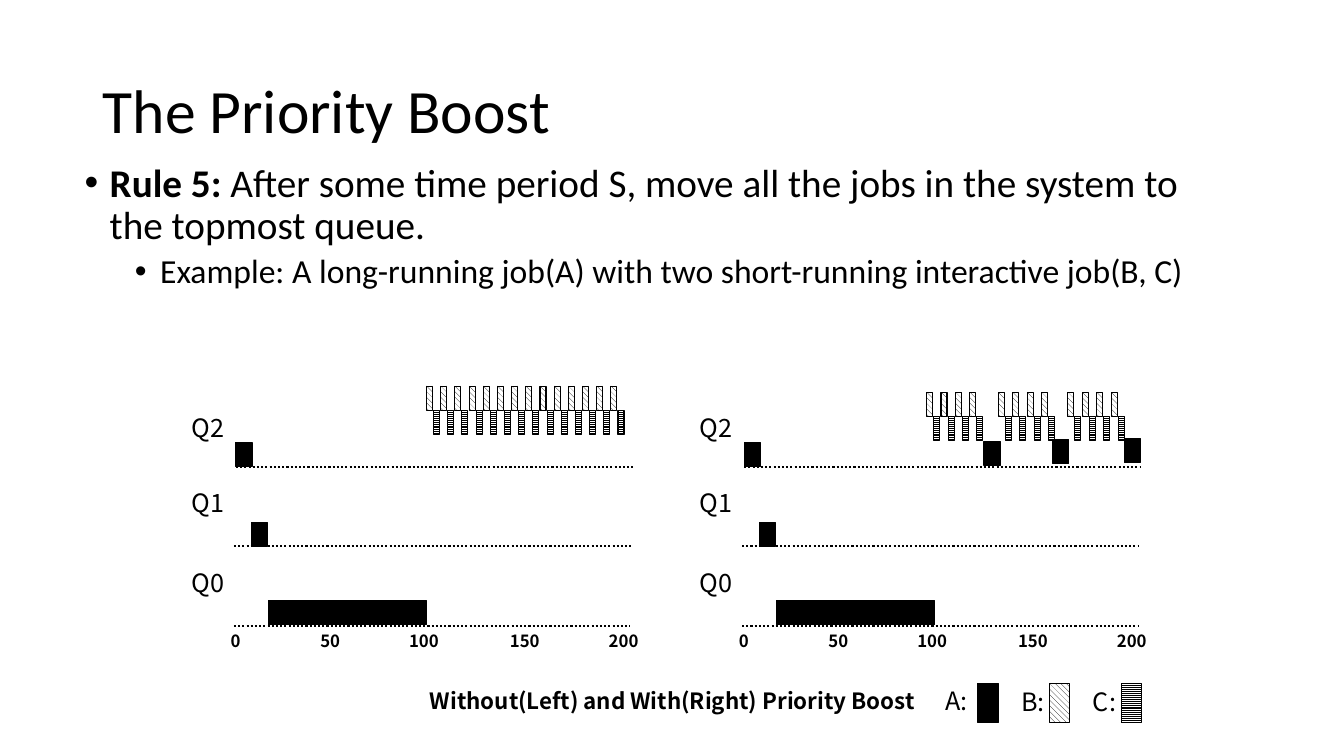
from lxml.etree import SubElement
from pptx import Presentation
from pptx.dml.color import RGBColor
from pptx.enum.dml import MSO_LINE, MSO_PATTERN as Pat
from pptx.enum.shapes import MSO_CONNECTOR as Con, MSO_SHAPE as Geo
from pptx.enum.text import MSO_ANCHOR as Anc, MSO_AUTO_SIZE as Auto, PP_ALIGN as Al
from pptx.oxml.ns import qn
from pptx.util import Inches, Pt

HEX = {"ink": "000000", "paper": "FFFFFF"}
SANS, NOTO = "Calibri", "Noto Sans CJK KR"
TITLE = "The Priority Boost"
BODY = [
    (0.25, 10, 28, [("Rule 5:", True),
                    (" After some time period S, move all the jobs in the system to the topmost queue.", False)]),
    (0.75, 5, 24, [("Example: A long-running job(A) with two short-running interactive job(B, C)", False)]),
]
NOTE = "Without(Left) and With(Right) Priority Boost"
FILLS = {"A": None, "B": Pat.WIDE_DOWNWARD_DIAGONAL, "C": Pat.LIGHT_HORIZONTAL}
QUEUES = [("Q2", 4.04, 0.02, 4.63, 3.94), ("Q1", 4.79, 0, 5.42, 3.94), ("Q0", 5.58, 0, 6.21, 3.93)]
TICKS = [("0", -0.13, 0.24), ("50", 0.72, 0.47), ("100", 1.58, 0.61),
         ("150", 2.58, 0.61), ("200", 3.56, 0.61)]
LONG = [(0.02, 4.39, 0.16), (0.17, 5.18, 0.16), (0.34, 5.96, 1.57)]
CHARTS = [
    {"left": 2.32, "top": 3.83, "bursts": [(1.91, 1.83, 14)], "boosts": []},
    {"left": 7.36, "top": 3.89, "bursts": [(1.83, 0.43, 4), (2.54, 0.43, 4), (3.23, 0.43, 4)],
     "boosts": [(2.4, 4.38, 0.16), (3.08, 4.36, 0.16), (3.79, 4.35, 0.16)]},
]
KEY = [("A: ", 9.23, 6.75, 0.57, 9.7), ("B:", 10.01, 6.76, 0.47, 10.41), ("C:", 10.72, 6.76, 0.47, 11.12)]
TALL = 0.24


def tint(name):
    return RGBColor.from_string(HEX[name])


def style(item, vals):
    for name, val in vals.items():
        setattr(item, name, val)


def write(para, text, size, face, bold=False):
    run = para.add_run()
    run.text = text
    style(run.font, {"size": Pt(size), "name": face, "bold": bold})
    run.font.color.rgb = tint("ink")


def label(host, text, at, size, align=Al.CENTER, bold=False):
    box = host.add_textbox(*map(Inches, at))
    style(box.text_frame, {"word_wrap": True, "auto_size": Auto.SHAPE_TO_FIT_TEXT})
    para = box.text_frame.paragraphs[0]
    para.alignment = align
    write(para, text, size, NOTO, bold)


def block(host, job, x, y, w, h=TALL):
    rect = host.add_shape(Geo.RECTANGLE, *map(Inches, (x, y, w, h)))
    rect.shadow.inherit = False
    if FILLS[job] is None:
        rect.fill.solid()
        rect.fill.fore_color.rgb = tint("ink")
    else:
        rect.fill.patterned()
        rect.fill.pattern = FILLS[job]
        rect.fill.fore_color.rgb = tint("ink")
        rect.fill.back_color.rgb = tint("paper")
    rect.line.color.rgb = tint("ink")
    rect.line.width = Pt(0.75)


def rule(host, x, y, w):
    line = host.add_connector(Con.STRAIGHT, *map(Inches, (x, y, x + w, y)))
    line.line.color.rgb = tint("ink")
    style(line.line, {"width": Pt(1.5), "dash_style": MSO_LINE.ROUND_DOT})
    SubElement(line._element.spPr, qn("a:effectLst"))


def chart(host, left, top, bursts, boosts):
    for name, y, shift, base, width in QUEUES:
        rule(host, left + shift, base, width)
        label(host, name, (left - 0.69, y, 0.69, 0.4), 18, Al.RIGHT)
    for text, x, width in TICKS:
        label(host, text, (left + x, 6.21, width, 0.3), 12, bold=True)
    for start, span, count in bursts:
        for i in range(count):
            x = left + start + span * i / (count - 1)
            block(host, "B", x, top, 0.06)
            block(host, "C", x + 0.07, top + TALL, 0.06)
    for x, y, width in LONG + boosts:
        block(host, "A", left + x, y, width)


def bullets(frame):
    frame.word_wrap = True
    for i, (indent, before, size, runs) in enumerate(BODY):
        para = frame.add_paragraph() if i else frame.paragraphs[0]
        style(para, {"line_spacing": 0.9, "space_before": Pt(before), "alignment": Al.LEFT})
        props = para._p.get_or_add_pPr()
        props.set("marL", str(Inches(indent)))
        props.set("indent", str(Inches(-0.25)))
        SubElement(props, qn("a:buFont")).set("typeface", "Arial")
        SubElement(props, qn("a:buChar")).set("char", "•")
        for text, bold in runs:
            write(para, text, size, SANS, bold)


def main():
    deck = Presentation()
    style(deck, {"slide_width": Inches(13.33), "slide_height": Inches(7.5)})
    slide = deck.slides.add_slide(deck.slide_layouts[5])
    shapes = slide.shapes

    title = shapes.title
    style(title, {"left": Inches(0.92), "top": Inches(0.4), "width": Inches(11.5), "height": Inches(1.45)})
    style(title.text_frame, {"vertical_anchor": Anc.MIDDLE, "word_wrap": True})
    para = title.text_frame.paragraphs[0]
    style(para, {"alignment": Al.LEFT, "line_spacing": 0.9})
    write(para, TITLE, 44, SANS)

    bullets(shapes.add_textbox(*map(Inches, (0.74, 1.57, 11.5, 4.76))).text_frame)
    for data in CHARTS:
        chart(shapes.add_group_shape().shapes, **data)
    label(shapes, NOTE, (3.6, 6.77, 6.14, 0.37), 16, bold=True)
    key = shapes.add_group_shape().shapes
    for text, x, y, width, mark in KEY:
        block(key, text[0], mark, 6.78, 0.2, 0.39)
        label(key, text, (x, y, width, 0.4), 18)
    deck.save("out.pptx")


if __name__ == "__main__":
    main()
